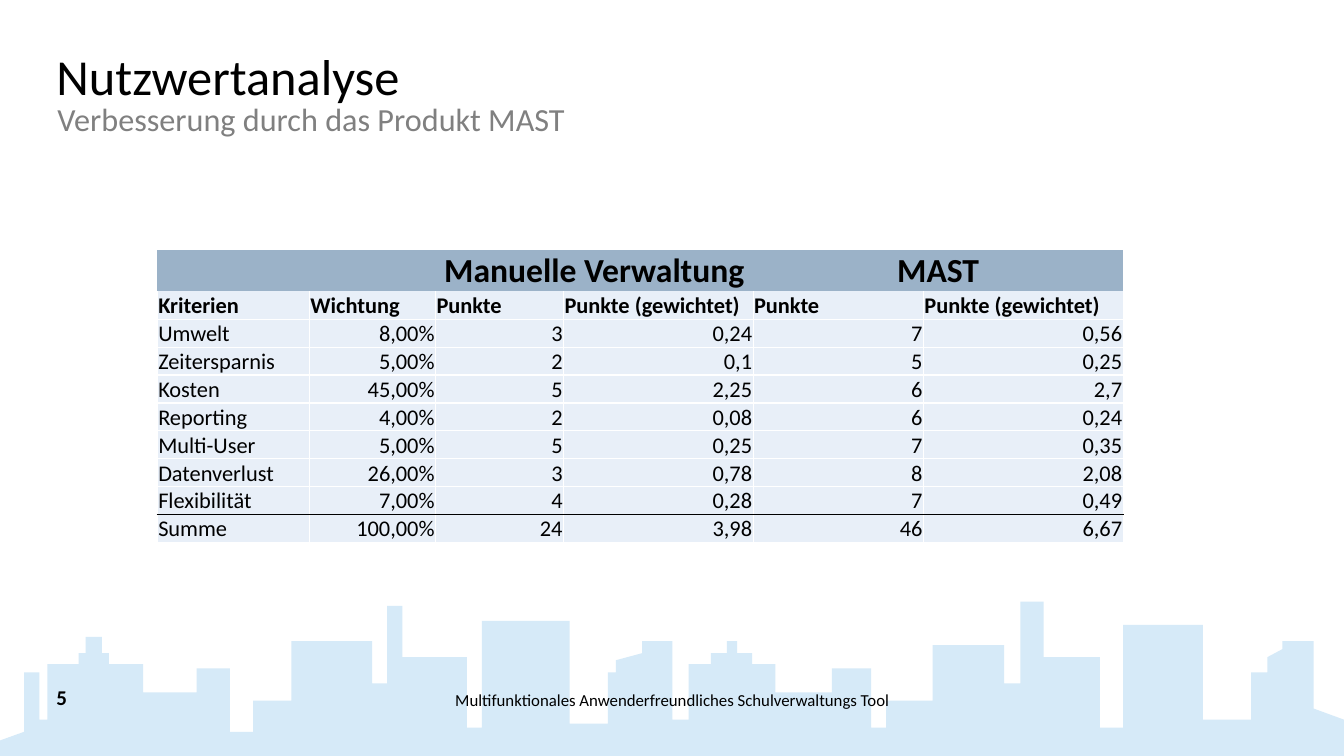
from itertools import pairwise

from lxml import etree
from pptx import Presentation
from pptx.dml.color import RGBColor
from pptx.enum.text import MSO_ANCHOR, PP_ALIGN
from pptx.oxml.ns import qn
from pptx.util import Inches, Pt

LEFT, CENTER, RIGHT = PP_ALIGN.LEFT, PP_ALIGN.CENTER, PP_ALIGN.RIGHT
TOP, BOTTOM = MSO_ANCHOR.TOP, MSO_ANCHOR.BOTTOM

BLACK = RGBColor(0x00, 0x00, 0x00)
WHITE = RGBColor(0xFF, 0xFF, 0xFF)
GRAY = RGBColor(0x80, 0x80, 0x80)
SKY = RGBColor(0xD6, 0xEA, 0xF8)
HEADER_BLUE = RGBColor(0x9B, 0xB2, 0xC8)
PALE_BLUE = RGBColor(0xE8, 0xEF, 0xF8)

SLIDE_WIDTH, SLIDE_HEIGHT = Inches(13.33), Inches(7.5)
GRID_COLUMNS, GRID_ROWS = 1333, 750
BLANK_LAYOUT = 6

ROOFS = [
    (-1, 735, 726), (24, 667), (39, 714), (47, 659), (78, 648), (85, 632),
    (101, 648), (108, 659), (142, 687), (195, 663), (228, 726), (251, 695),
    (289, 636), (369, 678), (384, 601), (399, 652), (463, 722), (478, 616),
    (565, 718), (603, 667), (611, 655, 648), (637, 636), (667, 714),
    (683, 659), (705, 648), (721, 636), (731, 648), (746, 659), (769, 687),
    (825, 663), (864, 722), (879, 695), (925, 640), (996, 678), (1012, 597),
    (1035, 652), (1091, 722), (1114, 620), (1193, 714), (1241, 667),
    (1257, 652, 644), (1272, 636), (1303, 703, 714), (GRID_COLUMNS, GRID_ROWS),
]

COLUMN_WIDTHS = [151, 125, 127, 188, 169, 198]
ROW_HEIGHTS = [36, 21] + [20] * 6 + [21, 21]
SCORES = [
    ["", "", "Manuelle Verwaltung", "", "MAST", ""],
    ["Kriterien", "Wichtung"] + ["Punkte", "Punkte (gewichtet)"] * 2,
    ["Umwelt", "8,00%", "3", "0,24", "7", "0,56"],
    ["Zeitersparnis", "5,00%", "2", "0,1", "5", "0,25"],
    ["Kosten", "45,00%", "5", "2,25", "6", "2,7"],
    ["Reporting", "4,00%", "2", "0,08", "6", "0,24"],
    ["Multi-User", "5,00%", "5", "0,25", "7", "0,35"],
    ["Datenverlust", "26,00%", "3", "0,78", "8", "2,08"],
    ["Flexibilität", "7,00%", "4", "0,28", "7", "0,49"],
    ["Summe", "100,00%", "24", "3,98", "46", "6,67"],
]


class SlideBuilder:
    """Draws styled elements on one slide, measured in grid columns and rows."""

    font_name = "Calibri"
    column = SLIDE_WIDTH / GRID_COLUMNS
    row = SLIDE_HEIGHT / GRID_ROWS

    def __init__(self, slide):
        self.slide = slide

    def place(self, left, top, width, height):
        return (round(left * self.column), round(top * self.row),
                round(width * self.column), round(height * self.row))

    def style_paragraph(self, paragraph, size, color=BLACK, bold=False, align=LEFT):
        paragraph.alignment = align
        for run in paragraph.runs:
            run.font.name = self.font_name
            run.font.size = Pt(size)
            run.font.bold = bold
            run.font.color.rgb = color

    def text(self, text, area, size, anchor=TOP, inset=0, spacing=None, **style):
        text_frame = self.slide.shapes.add_textbox(*self.place(*area)).text_frame
        text_frame.word_wrap = True
        text_frame.vertical_anchor = anchor
        text_frame.margin_left = round(inset * self.column)
        text_frame.margin_right = text_frame.margin_top = text_frame.margin_bottom = 0
        text_frame.text = text
        paragraph = text_frame.paragraphs[0]
        if spacing:
            paragraph.line_spacing = spacing
            paragraph.space_after = Pt(10)
        self.style_paragraph(paragraph, size, **style)

    def skyline(self, roofs, color):
        corners = []
        for (left, *tops), (right, *_) in pairwise(roofs):
            corners += [(left, tops[0]), (right, tops[-1])]
        corners.append(roofs[-1])
        builder = self.slide.shapes.build_freeform(
            roofs[0][0], GRID_ROWS, scale=(self.column, self.row))
        builder.add_line_segments(corners, close=True)
        shape = builder.convert_to_shape()
        shape.shadow.inherit = False
        shape.fill.solid()
        shape.fill.fore_color.rgb = color
        shape.line.fill.background()

    def cell_borders(self, cell, left_right, top, bottom):
        properties = cell._tc.get_or_add_tcPr()
        sides = {"lnL": left_right, "lnR": left_right, "lnT": top, "lnB": bottom}
        for tag, color in sides.items():
            line = etree.SubElement(properties, qn(f"a:{tag}"), w=str(Pt(1)))
            if color is None:
                etree.SubElement(line, qn("a:noFill"))
            else:
                fill = etree.SubElement(line, qn("a:solidFill"))
                etree.SubElement(fill, qn("a:srgbClr"), val=str(color))

    def cell(self, cell, text, fill, borders, size, **style):
        cell.text = text
        cell.vertical_anchor = BOTTOM
        cell.margin_left = cell.margin_right = cell.margin_top = round(self.column)
        cell.margin_bottom = 0
        self.cell_borders(cell, *borders)
        cell.fill.solid()
        cell.fill.fore_color.rgb = fill
        self.style_paragraph(cell.text_frame.paragraphs[0], size, **style)

    def score_table(self, scores, left, top, widths, heights):
        area = self.place(left, top, sum(widths), sum(heights))
        table = self.slide.shapes.add_table(len(heights), len(widths), *area).table
        table.first_row = table.horz_banding = False
        for column, width in zip(table.columns, widths):
            column.width = round(width * self.column)
        for row, height in zip(table.rows, heights):
            row.height = round(height * self.row)
        for first in (2, 4):
            table.cell(0, first).merge(table.cell(0, first + 1))
        last = len(scores) - 1
        for i, values in enumerate(scores):
            top_color = {1: None, last: BLACK}.get(i, WHITE)
            bottom_color = BLACK if i == last - 1 else WHITE
            for j, value in enumerate(values):
                cell = table.cell(i, j)
                if i == 0:
                    self.cell(cell, value, HEADER_BLUE, (None, None, None), 24,
                              bold=True, align=CENTER)
                else:
                    self.cell(cell, value, PALE_BLUE, (WHITE, top_color, bottom_color),
                              16, bold=i == 1, align=RIGHT if i > 1 and j else LEFT)


def main():
    presentation = Presentation()
    presentation.slide_width = SLIDE_WIDTH
    presentation.slide_height = SLIDE_HEIGHT
    slide = presentation.slides.add_slide(presentation.slide_layouts[BLANK_LAYOUT])
    builder = SlideBuilder(slide)
    builder.skyline(ROOFS, SKY)
    builder.text("Nutzwertanalyse", (56, 45, 1218, 117), 36)
    builder.text("Verbesserung durch das Produkt MAST", (56, 103, 1218, 59), 23,
                 inset=1, spacing=0.9, color=GRAY)
    builder.text("Multifunktionales Anwenderfreundliches Schulverwaltungs Tool",
                 (433, 665, 468, 39), 12, anchor=BOTTOM, spacing=0.9, align=CENTER)
    builder.text("5", (56, 665, 100, 39), 15, anchor=BOTTOM, spacing=0.9, bold=True)
    builder.score_table(SCORES, 156, 248, COLUMN_WIDTHS, ROW_HEIGHTS)
    presentation.save("out.pptx")


if __name__ == "__main__":
    main()
